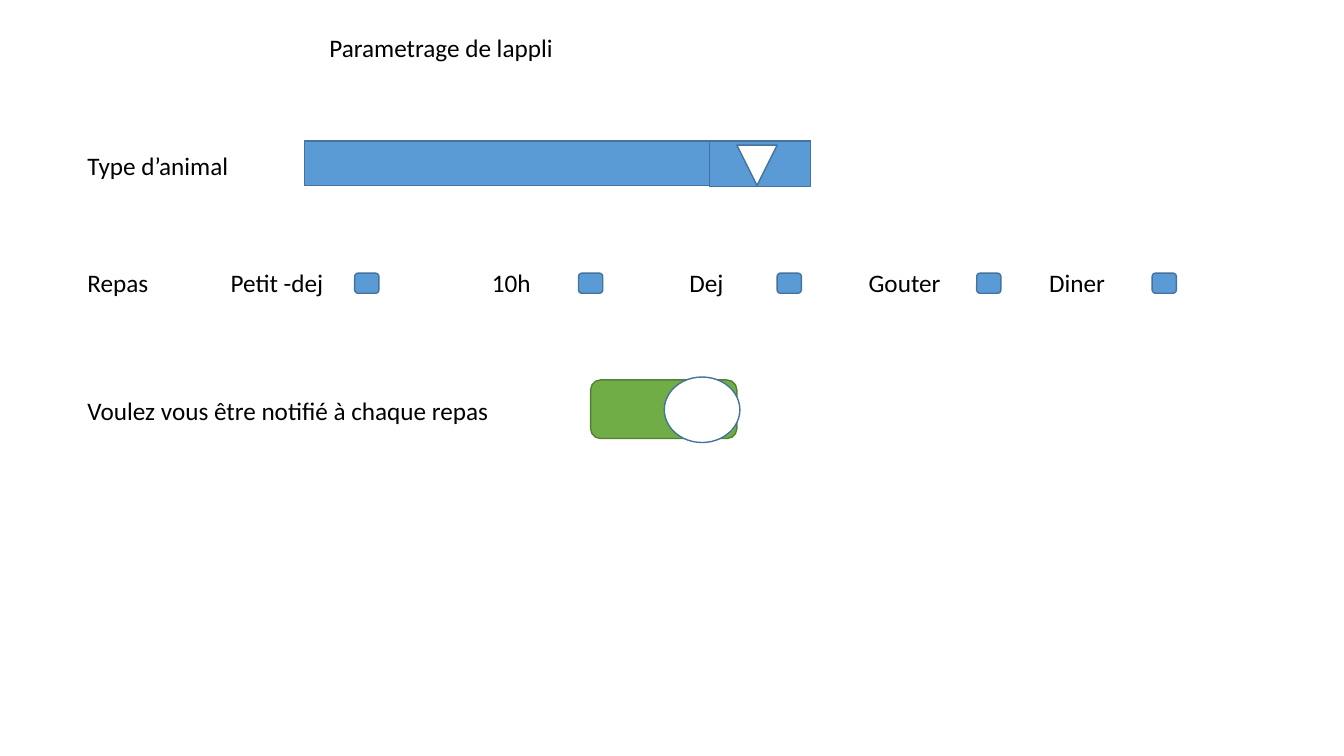
import pptx
import pptx.util
import pptx.dml.color
import pptx.enum.shapes
import pptx.enum.text
from dataclasses import dataclass

Pt = pptx.util.Pt
Kind = pptx.enum.shapes.MSO_SHAPE

# Content: text, left, top, width
LABELS = [
    ("Parametrage de lappli", 228.2, 19.4, 514.8),
    ("Type d’animal", 55.4, 103.7, 514.8),
    ("Repas", 55.4, 187.2, 61.2),
    ("Voulez vous être notifié à chaque repas", 55.4, 278.6, 514.8),
]
# Meal, label left, label width, box left
MEALS = [
    ("Petit -dej", 157.7, 90.7, 253.4),
    ("10h", 344.2, 61.2, 413.3),
    ("Dej", 485.3, 61.2, 555.1),
    ("Gouter", 613.4, 74.2, 697.7),
    ("Diner", 742.3, 61.2, 823),
]
MEAL_TOP = 187.2
BOX_TOP, BOX_WIDTH, BOX_HEIGHT = 195.1, 17.3, 14.4
# Left, top, width, height
LIST = (217.4, 100.8, 361.4, 31.7)
BUTTON = (506.9, 100.8, 72, 32.4)
ARROW = (526.3, 103.7, 28.8, 28.8)
SWITCH = (421.9, 271.4, 104.4, 41.8)
KNOB = (474.5, 269.3, 54, 46.8)


@dataclass
class Theme:
    font: str = "Calibri"
    size: float = 18
    height: float = 29.1
    line: float = 1
    ink: str = "000000"
    blue: str = "5B9BD5"
    edge: str = "43739E"
    green: str = "70AD47"
    rim: str = "538035"
    white: str = "FFFFFF"


theme = Theme()


def color(code):
    return pptx.dml.color.RGBColor.from_string(code)


def label(slide, text, left, top, width):
    box = slide.shapes.add_textbox(Pt(left), Pt(top), Pt(width), Pt(theme.height))
    frame = box.text_frame
    frame.word_wrap = True
    frame.auto_size = pptx.enum.text.MSO_AUTO_SIZE.SHAPE_TO_FIT_TEXT
    run = frame.paragraphs[0].add_run()
    run.text = text
    run.font.name = theme.font
    run.font.size = Pt(theme.size)
    run.font.color.rgb = color(theme.ink)


def shape(slide, kind, place, fill=theme.blue, edge=theme.edge):
    item = slide.shapes.add_shape(kind, *map(Pt, place))
    item.shadow.inherit = False
    item.fill.solid()
    item.fill.fore_color.rgb = color(fill)
    item.line.color.rgb = color(edge)
    item.line.width = Pt(theme.line)
    return item


def main():
    deck = pptx.Presentation()
    deck.slide_width, deck.slide_height = Pt(960), Pt(540)
    slide = deck.slides.add_slide(deck.slide_layouts[6])

    for entry in LABELS:
        label(slide, *entry)

    shape(slide, Kind.RECTANGLE, LIST)
    shape(slide, Kind.RECTANGLE, BUTTON)
    arrow = shape(slide, Kind.ISOSCELES_TRIANGLE, ARROW, theme.white)
    arrow.rotation = 180

    for meal, left, width, box in MEALS:
        label(slide, meal, left, MEAL_TOP, width)
        shape(slide, Kind.ROUNDED_RECTANGLE, (box, BOX_TOP, BOX_WIDTH, BOX_HEIGHT))

    shape(slide, Kind.ROUNDED_RECTANGLE, SWITCH, theme.green, theme.rim)
    shape(slide, Kind.OVAL, KNOB, theme.white)

    deck.save("out.pptx")


if __name__ == "__main__":
    main()
